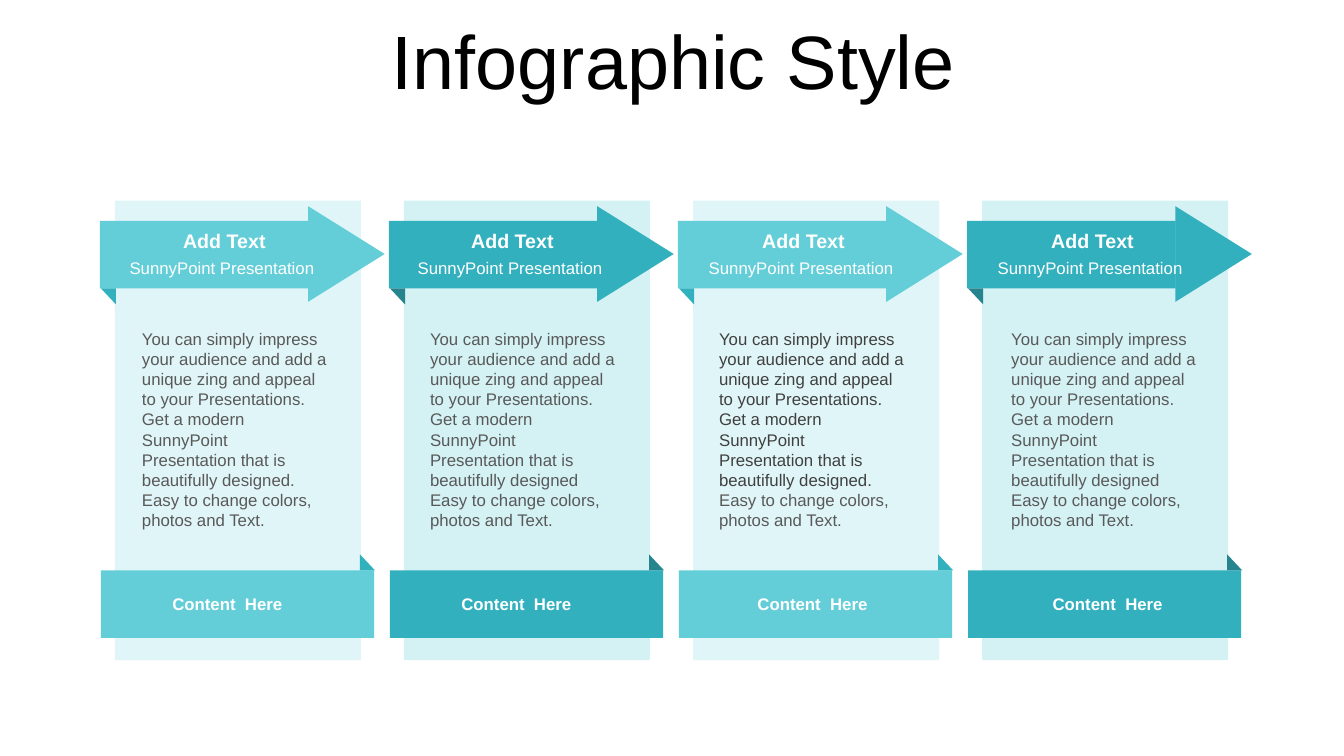
from pptx import Presentation
from pptx.dml.color import RGBColor
from pptx.enum.shapes import MSO_SHAPE
from pptx.enum.text import MSO_ANCHOR, MSO_AUTO_SIZE, PP_ALIGN
from pptx.util import Inches, Pt

COLUMN_LEFT, COLUMN_PITCH = 1.14, 2.867
LIGHT = {"panel": "E0F5F7", "ribbon": "64CED8", "fold": "30B1BD"}
DARK = {"panel": "D4F1F4", "ribbon": "32B0BE", "fold": "25848E"}
GREY, CHARCOAL, WHITE = "595959", "404040", "FFFFFF"

# Ribbon parts: preset, colour role, offset from the column, top, width, height, rotation
PARTS = [
    (MSO_SHAPE.RECTANGLE, "panel", 0, 1.99, 2.44, 4.56, 0),
    (MSO_SHAPE.RECTANGLE, "ribbon", -0.14, 5.66, 2.71, 0.67, 0),
    (MSO_SHAPE.RIGHT_TRIANGLE, "fold", 2.43, 5.5, 0.15, 0.16, 0),
    (MSO_SHAPE.RECTANGLE, "ribbon", -0.15, 2.19, 2.07, 0.67, 180),
    (MSO_SHAPE.RIGHT_TRIANGLE, "fold", -0.14, 2.86, 0.15, 0.16, 180),
    (MSO_SHAPE.ISOSCELES_TRIANGLE, "ribbon", 1.82, 2.14, 0.95, 0.76, 90),
]

INTRO = ("You can simply impress your audience and add a unique zing and appeal "
         "to your Presentations. Get a modern SunnyPoint  Presentation that is "
         "beautifully designed")
CLOSING = "Easy to change colors, photos and Text."

# Columns: palette, end of the intro, intro colour, offsets of body, heading and footer
COLUMNS = [
    (LIGHT, ". ", GREY, 0.17, -0.09, 0.26),
    (DARK, " ", GREY, 0.16, -0.1, 0.26),
    (LIGHT, ". ", CHARCOAL, 0.16, -0.08, 0.33),
    (DARK, " ", GREY, 0.19, -0.08, 0.39),
]


def color(value):
    return RGBColor.from_string(value)


def add_text(left, top, width, height, spans, size, bold=False, align=PP_ALIGN.CENTER):
    box = page.shapes.add_textbox(Inches(left), Inches(top), Inches(width), Inches(height))
    frame = box.text_frame
    frame.word_wrap = True
    frame.auto_size = MSO_AUTO_SIZE.SHAPE_TO_FIT_TEXT
    para = frame.paragraphs[0]
    para.alignment = align
    for words, ink in spans:
        span = para.add_run()
        span.text = words
        span.font.name = "Arial"
        span.font.size = Pt(size)
        span.font.bold = bold
        span.font.color.rgb = color(ink)


deck = Presentation()
deck.slide_width, deck.slide_height = Inches(13.33), Inches(7.5)
page = deck.slides.add_slide(deck.slide_layouts.get_by_name("Title Only"))

# Title
title = page.shapes.title
title.left, title.top = Inches(0.35), Inches(0.25)
title.width, title.height = Inches(12.66), Inches(0.79)
title.text_frame.vertical_anchor = MSO_ANCHOR.MIDDLE
title.text_frame.auto_size = MSO_AUTO_SIZE.NONE
para = title.text_frame.paragraphs[0]
para.alignment = PP_ALIGN.CENTER
para.line_spacing = 0.9
para.space_before = Pt(10)
span = para.add_run()
span.text = "Infographic Style"
span.font.name = "Arial"
span.font.size = Pt(54)
span.font.color.rgb = color("000000")

for index, (palette, ending, ink, body, heading, footer) in enumerate(COLUMNS):
    column = COLUMN_LEFT + index * COLUMN_PITCH

    # Panel, arrow and ribbon
    for preset, role, offset, top, width, height, rotation in PARTS:
        part = page.shapes.add_shape(preset, Inches(column + offset), Inches(top),
                                     Inches(width), Inches(height))
        part.rotation = rotation
        part.shadow.inherit = False
        part.fill.solid()
        part.fill.fore_color.rgb = color(palette[role])
        part.line.fill.background()

    # Text in the arrow, the panel and the ribbon
    add_text(column + heading, 2.22, 2.35, 0.34, [("Add Text", WHITE)], 14, bold=True)
    add_text(column + heading, 2.51, 2.35, 0.3, [("SunnyPoint Presentation ", WHITE)], 12)
    add_text(column + body, 3.21, 2.07, 2.12,
             [(INTRO + ending, ink), (CLOSING, GREY)], 12, align=PP_ALIGN.LEFT)
    add_text(column + footer, 5.84, 1.71, 0.3, [("Content  Here", WHITE)], 12, bold=True)

deck.save("out.pptx")
